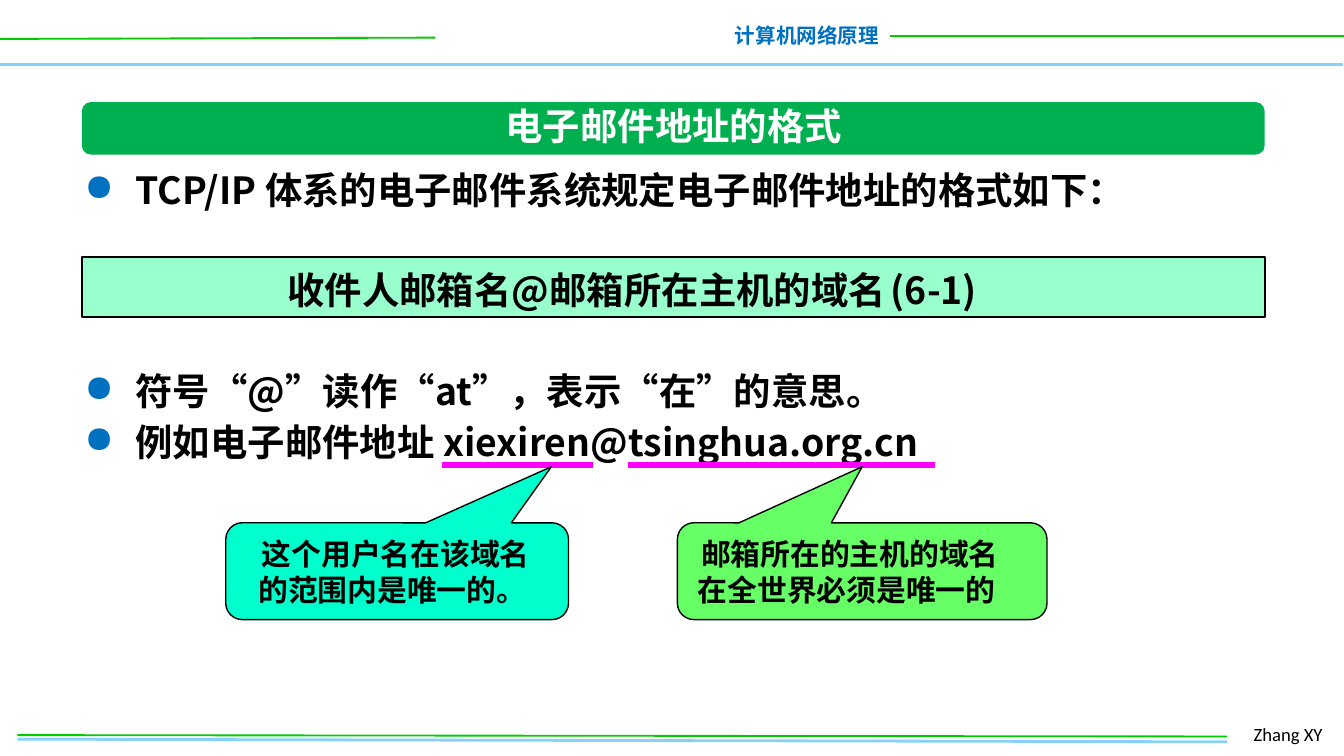
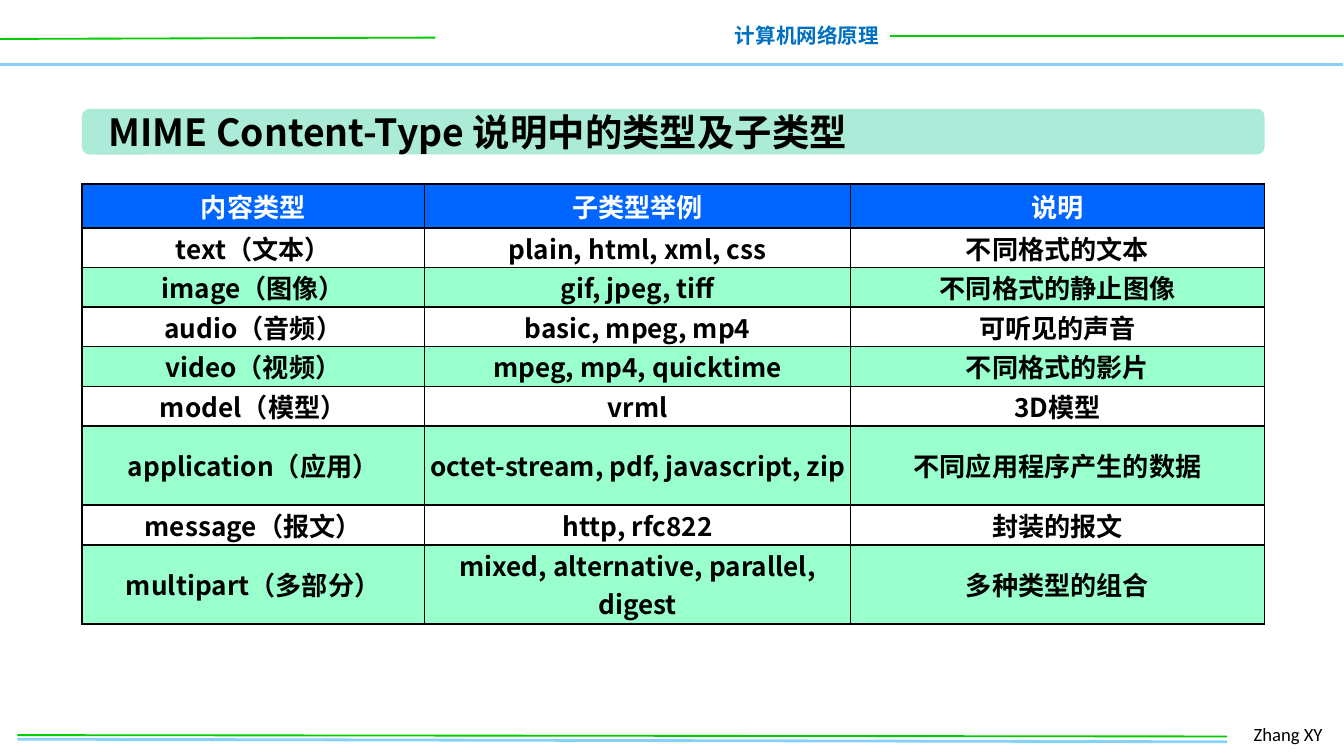
from dataclasses import dataclass
from typing import Optional

from lxml.etree import SubElement
from pptx import Presentation
from pptx.dml.color import RGBColor
from pptx.enum.shapes import MSO_CONNECTOR as Connector, MSO_SHAPE as Shape
from pptx.enum.text import MSO_ANCHOR as Anchor, MSO_AUTO_SIZE as AutoSize, PP_ALIGN as Align
from pptx.oxml.ns import qn
from pptx.util import Pt

SCALE = 4572


@dataclass(frozen=True)
class Theme:
    cjk: str = "Noto Sans CJK SC"
    latin: str = "Calibri"
    black: str = "000000"
    white: str = "FFFFFF"
    blue: str = "0070C0"
    sky: str = "85D1F7"
    green: str = "00CC00"
    magenta: str = "FF00FF"
    mint: str = "99FFCC"
    title_green: str = "00B050"
    title_mint: str = "ABEBD7"
    header_blue: str = "0066FF"
    aqua: str = "00FFCC"
    lime: str = "66FF66"
    heading: int = 20
    callout: int = 16
    cell: int = 14
    course: int = 11
    author: int = 10
    leading: int = 27


THEME = Theme()


@dataclass(frozen=True)
class Box:
    left: int
    top: int
    width: int
    height: int

    def emu(self) -> tuple:
        return tuple(n * SCALE for n in (self.left, self.top, self.width, self.height))


@dataclass(frozen=True)
class Style:
    size: int
    color: str = THEME.black
    bold: bool = True
    font: str = THEME.cjk
    align: Align = Align.LEFT


@dataclass(frozen=True)
class Rule:
    start: tuple
    end: tuple
    color: str
    weight: float


@dataclass(frozen=True)
class Line:
    text: str
    bullet: bool = True
    gap: int = 0


@dataclass(frozen=True)
class Callout:
    underline: Rule
    bubble: Box
    tip: float
    fill: str
    label: Box
    lines: tuple


FRAME_RULES = (
    Rule((-2, 96), (1998, 96), THEME.sky, 2),
    Rule((0, 58), (648, 56), THEME.green, 1),
    Rule((1324, 54), (2002, 54), THEME.green, 1),
    Rule((26, 1100), (1826, 1104), THEME.sky, 1.5),
    Rule((26, 1094), (1826, 1096), THEME.green, 1),
)

FORMAT_LINES = (
    Line("TCP/IP 体系的电子邮件系统规定电子邮件地址的格式如下："),
    Line("收件人邮箱名@邮箱所在主机的域名\t(6-1)", False, THEME.leading),
    Line("符号“@”读作“at”，表示“在”的意思。", True, THEME.leading),
    Line("例如电子邮件地址 xiexiren@tsinghua.org.cn"),
)

CALLOUTS = (
    Callout(Rule((934, 692), (1392, 692), THEME.magenta, 3), Box(1008, 778, 550, 144), 0,
            THEME.lime, Box(1014, 788, 502, 128),
            ("邮箱所在的主机的域名", "在全世界必须是唯一的 ")),
    Callout(Rule((658, 692), (882, 692), THEME.magenta, 3), Box(336, 778, 510, 144), 0.45,
            THEME.aqua, Box(360, 788, 458, 128),
            ("这个用户名在该域名", "的范围内是唯一的。 ")),
)

MIME_ROWS = (
    ("内容类型", "子类型举例", "说明"),
    ("text（文本）", "plain, html, xml, css", "不同格式的文本"),
    ("image（图像）", "gif, jpeg, tiff", "不同格式的静止图像"),
    ("audio（音频）", "basic, mpeg, mp4", "可听见的声音"),
    ("video（视频）", "mpeg, mp4, quicktime", "不同格式的影片"),
    ("model（模型）", "vrml", "3D模型"),
    ("application（应用）", "octet-stream, pdf, javascript, zip", "不同应用程序产生的数据"),
    ("message（报文）", "http, rfc822", "封装的报文"),
    ("multipart（多部分）", "mixed, alternative, parallel, digest", "多种类型的组合"),
)
HEADER_HEIGHT, ROW_HEIGHT = 65, 59
TALL_ROWS = (6, 8)
COLUMN_WIDTHS = (510, 634, 616)


def apply(target, values: dict) -> None:
    for name, value in values.items():
        setattr(target, name, value)


def write(para, text: str, style: Style) -> None:
    para.alignment = style.align
    span = para.add_run()
    span.text = text
    apply(span.font, {"size": Pt(style.size), "bold": style.bold, "name": style.font})
    span.font.color.rgb = RGBColor.from_string(style.color)
    SubElement(span.font._element, qn("a:ea"), typeface=style.font)


def add_text(shapes, box: Box, lines: tuple, style: Style, wrap: bool = False) -> None:
    frame = shapes.add_textbox(*box.emu()).text_frame
    apply(frame, {"word_wrap": wrap, "auto_size": AutoSize.SHAPE_TO_FIT_TEXT})
    for index, text in enumerate(lines):
        write(frame.add_paragraph() if index else frame.paragraphs[0], text, style)


def add_rule(shapes, rule: Rule) -> None:
    ends = (n * SCALE for n in rule.start + rule.end)
    line = shapes.add_connector(Connector.STRAIGHT, *ends)
    line.line.color.rgb = RGBColor.from_string(rule.color)
    line.line.width = Pt(rule.weight)
    SubElement(line._element.spPr, qn("a:effectLst"))


def add_panel(shapes, kind: Shape, box: Box, fill: str, weight: Optional[float] = None):
    panel = shapes.add_shape(kind, *box.emu())
    panel.shadow.inherit = False
    panel.fill.solid()
    panel.fill.fore_color.rgb = RGBColor.from_string(fill)
    if weight is None:
        panel.line.fill.background()
    else:
        panel.line.color.rgb = RGBColor.from_string(THEME.black)
        panel.line.width = Pt(weight)
    return panel


def add_title(shapes, band: Box, fill: str, box: Box, text: str, style: Style) -> None:
    add_panel(shapes, Shape.ROUNDED_RECTANGLE, band, fill)
    add_text(shapes, box, (text,), style)


def add_page(deck):
    shapes = deck.slides.add_slide(deck.slide_layouts[6]).shapes
    for rule in FRAME_RULES:
        add_rule(shapes, rule)
    add_text(shapes, Box(1072, 24, 256, 58), ("计算机网络原理",),
             Style(THEME.course, THEME.blue, align=Align.RIGHT))
    add_text(shapes, Box(1846, 1066, 148, 54), ("Zhang XY",),
             Style(THEME.author, bold=False, font=THEME.latin), wrap=True)
    return shapes


def add_format_lines(shapes, box: Box) -> None:
    frame = shapes.add_textbox(*box.emu()).text_frame
    frame.word_wrap = True
    for index, line in enumerate(FORMAT_LINES):
        para = frame.add_paragraph() if index else frame.paragraphs[0]
        properties = para._p.get_or_add_pPr()
        if line.bullet:
            hang = 76 * SCALE
            properties.set("marL", str(hang))
            properties.set("indent", str(-hang))
            color = SubElement(properties, qn("a:buClr"))
            SubElement(color, qn("a:srgbClr"), val=THEME.blue)
            SubElement(properties, qn("a:buChar"), char="●")
        else:
            properties.set("marL", "0")
            properties.set("indent", str(302 * SCALE))
            SubElement(properties, qn("a:buNone"))
            tabs = SubElement(properties, qn("a:tabLst"))
            SubElement(tabs, qn("a:tab"), pos=str(1308 * SCALE), algn="l")
        apply(para, {"line_spacing": Pt(THEME.leading)})
        if line.gap:
            para.space_before = Pt(line.gap)
        write(para, line.text, Style(THEME.heading))


def add_callout(shapes, callout: Callout) -> None:
    group = shapes.add_group_shape().shapes
    add_rule(group, callout.underline)
    bubble = add_panel(group, Shape.ROUNDED_RECTANGULAR_CALLOUT, callout.bubble, callout.fill, 0.75)
    for index, value in enumerate((callout.tip, -1.08, 0.17)):
        bubble.adjustments[index] = value
    add_text(group, callout.label, callout.lines, Style(THEME.callout, align=Align.CENTER))


def add_borders(cell) -> None:
    properties = cell._tc.get_or_add_tcPr()
    for side in ("lnL", "lnR", "lnT", "lnB"):
        border = SubElement(properties, qn(f"a:{side}"), w=str(Pt(1)))
        fill = SubElement(border, qn("a:solidFill"))
        SubElement(fill, qn("a:srgbClr"), val=THEME.black)


def add_mime_table(shapes, left: int, top: int) -> None:
    heights = [HEADER_HEIGHT] + [ROW_HEIGHT * (2 if row in TALL_ROWS else 1)
                                 for row in range(1, len(MIME_ROWS))]
    box = Box(left, top, sum(COLUMN_WIDTHS), sum(heights))
    table = shapes.add_table(len(heights), len(COLUMN_WIDTHS), *box.emu()).table
    apply(table, {"first_row": False, "horz_banding": False})
    for column, width in zip(table.columns, COLUMN_WIDTHS):
        column.width = width * SCALE
    margins = {"margin_left": 6 * SCALE, "margin_right": 6 * SCALE,
               "margin_top": 0, "margin_bottom": 0, "vertical_anchor": Anchor.MIDDLE}
    for index, (row, height, texts) in enumerate(zip(table.rows, heights, MIME_ROWS)):
        row.height = height * SCALE
        color = THEME.black if index else THEME.white
        for cell, text in zip(row.cells, texts):
            apply(cell, margins)
            add_borders(cell)
            if index % 2:
                cell.fill.background()
            else:
                cell.fill.solid()
                cell.fill.fore_color.rgb = RGBColor.from_string(
                    THEME.mint if index else THEME.header_blue)
            write(cell.text_frame.paragraphs[0], text,
                  Style(THEME.cell, color, align=Align.CENTER))


def build_address_page(deck) -> None:
    shapes = add_page(deck)
    add_panel(shapes, Shape.RECTANGLE, Box(122, 382, 1760, 90), THEME.mint, 1)
    add_title(shapes, Box(122, 152, 1760, 78), THEME.title_green, Box(730, 144, 546, 88),
              "电子邮件地址的格式", Style(THEME.heading, THEME.white, align=Align.CENTER))
    add_format_lines(shapes, Box(106, 230, 1776, 474))
    for callout in CALLOUTS:
        add_callout(shapes, callout)


def build_mime_page(deck) -> None:
    shapes = add_page(deck)
    add_title(shapes, Box(122, 162, 1760, 68), THEME.title_mint, Box(142, 152, 1184, 88),
              "MIME Content-Type 说明中的类型及子类型", Style(THEME.heading))
    add_mime_table(shapes, 122, 274)


def main() -> None:
    deck = Presentation()
    apply(deck, {"slide_width": 2000 * SCALE, "slide_height": 1125 * SCALE})
    build_address_page(deck)
    build_mime_page(deck)
    deck.save("out.pptx")


if __name__ == "__main__":
    main()
